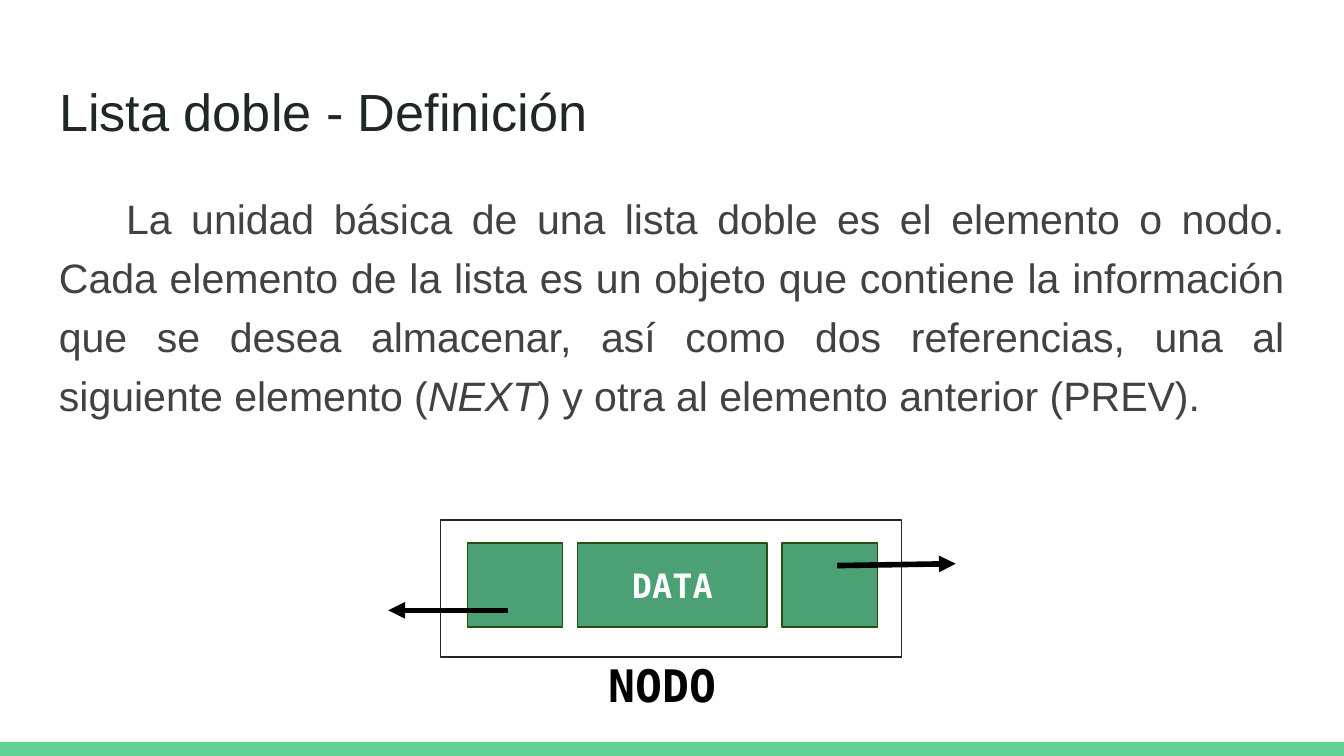
"""Build a slide that defines the node of a doubly linked list."""
from typing import NamedTuple

from lxml import etree
from pptx import Presentation
from pptx.dml.color import RGBColor
from pptx.enum.shapes import MSO_CONNECTOR, MSO_SHAPE
from pptx.enum.text import MSO_ANCHOR, MSO_AUTO_SIZE, PP_ALIGN
from pptx.oxml.ns import qn
from pptx.util import Pt

RECT = MSO_SHAPE.RECTANGLE
LINE = MSO_CONNECTOR.STRAIGHT
TOP, MIDDLE = MSO_ANCHOR.TOP, MSO_ANCHOR.MIDDLE
LEFT, CENTER, JUSTIFY = PP_ALIGN.LEFT, PP_ALIGN.CENTER, PP_ALIGN.JUSTIFY
FIXED = MSO_AUTO_SIZE.NONE
SANS, MONO = "Arial", "DejaVu Sans Mono"
COLORS = {
    "bar": "63D297", "cell": "4BA173", "edge": "274E13", "ink": "202729",
    "body": "424242", "white": "FFFFFF", "black": "000000",
}
PAD = 7.2
GAP = 8


class Area(NamedTuple):
    """Place and size in points."""
    left: float
    top: float
    width: float
    height: float


class Style(NamedTuple):
    """Look of a paragraph."""
    font: str
    size: float
    color: str
    align: PP_ALIGN = LEFT
    bold: bool = False


class Arrow(NamedTuple):
    """Start and end of an arrow in points."""
    x1: float
    y1: float
    x2: float
    y2: float


class Cell(NamedTuple):
    """Width and label of a part of the node."""
    width: float
    label: str = ""


HEAD = Style(SANS, 28, "ink")
BODY = Style(SANS, 22, "body", JUSTIFY)
DATA = Style(MONO, 18, "white", CENTER, True)
NAME = Style(MONO, 24, "black", CENTER, True)
CELLS = [Cell(51), Cell(101.5, "DATA"), Cell(51)]
ARROWS = [Arrow(448.5, 303, 512, 302), Arrow(272, 327, 208, 327)]
TEXT = [
    ("La unidad básica de una lista doble es el elemento o nodo. Cada "
     "elemento de la lista es un objeto que contiene la información que se "
     "desea almacenar, así como dos referencias, una al siguiente elemento (",
     False),
    ("NEXT", True),
    (") y otra al elemento anterior (PREV).", False),
]


def tint(name: str) -> RGBColor:
    """Look up a colour."""
    return RGBColor.from_string(COLORS[name])


def write(shape, parts: list, style: Style, anchor=MIDDLE):
    """Fill a shape with one paragraph of (text, italic) parts."""
    frame = shape.text_frame
    frame.word_wrap = True
    frame.auto_size = FIXED
    frame.vertical_anchor = anchor
    frame.margin_left = frame.margin_right = Pt(PAD)
    frame.margin_top = frame.margin_bottom = Pt(PAD)
    para = frame.paragraphs[0]
    para.alignment = style.align
    para.font.name = style.font
    para.font.size = Pt(style.size)
    para.font.bold = style.bold
    para.font.color.rgb = tint(style.color)
    for text, slant in parts:
        run = para.add_run()
        run.text = text
        if slant:
            run.font.italic = True
    return para


def add_text(slide, area: Area, parts: list, style: Style, anchor=MIDDLE):
    """Add a text box and return its paragraph."""
    box = slide.shapes.add_textbox(*map(Pt, area))
    return write(box, parts, style, anchor)


def add_rect(slide, area: Area, fill: str, edge: str = ""):
    """Add a flat rectangle, with an outline if one is named."""
    rect = slide.shapes.add_shape(RECT, *map(Pt, area))
    rect.shadow.inherit = False
    rect.fill.solid()
    rect.fill.fore_color.rgb = tint(fill)
    if edge:
        rect.line.color.rgb = tint(edge)
        rect.line.width = Pt(0.75)
    else:
        rect.line.fill.background()
    return rect


def add_arrow(slide, arrow: Arrow) -> None:
    """Add a thick black arrow."""
    link = slide.shapes.add_connector(LINE, *map(Pt, arrow))
    link.line.color.rgb = tint("black")
    link.line.width = Pt(3)
    etree.SubElement(link.line._get_or_add_ln(), qn("a:tailEnd"),
                     type="triangle")
    etree.SubElement(link._element.spPr, qn("a:effectLst"))


def add_cells(slide, left: float) -> None:
    """Lay the parts of the node in a row with equal gaps."""
    for cell in CELLS:
        rect = add_rect(slide, Area(left, 291, cell.width, 45), "cell", "edge")
        if cell.label:
            write(rect, [(cell.label, False)], DATA)
        left += cell.width + GAP


def main() -> None:
    """Build and save the slide."""
    deck = Presentation()
    deck.slide_width, deck.slide_height = Pt(720), Pt(405)
    slide = deck.slides.add_slide(deck.slide_layouts[5])
    title = slide.shapes.title
    title.left, title.top, title.width, title.height = map(
        Pt, Area(24.5, 35.5, 671, 45))
    write(title, [("Lista doble - Definición", False)], HEAD, TOP)

    add_rect(slide, Area(0, 397.5, 720, 7.5), "bar")
    para = add_text(slide, Area(24.5, 91, 671, 151), TEXT, BODY, TOP)
    para.line_spacing = 1.2
    para.space_before = para.space_after = Pt(16)
    para._p.get_or_add_pPr().set("indent", str(Pt(36)))

    add_rect(slide, Area(236, 278.5, 247, 73.5), "white", "ink")
    add_cells(slide, 250.5)
    for arrow in ARROWS:
        add_arrow(slide, arrow)
    add_text(slide, Area(304, 352, 101.5, 29.5), [("NODO", False)], NAME)
    deck.save("out.pptx")


if __name__ == "__main__":
    main()
